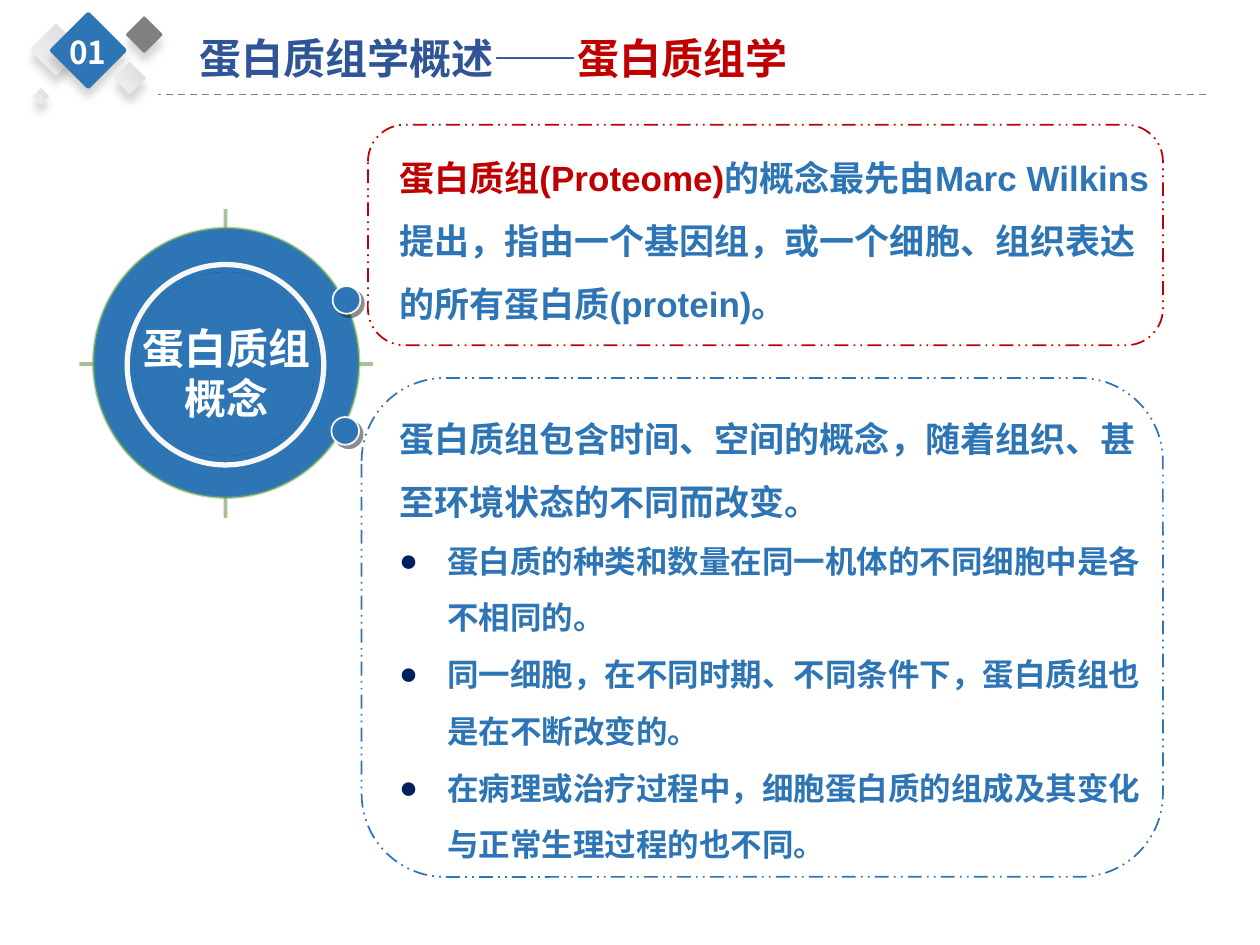
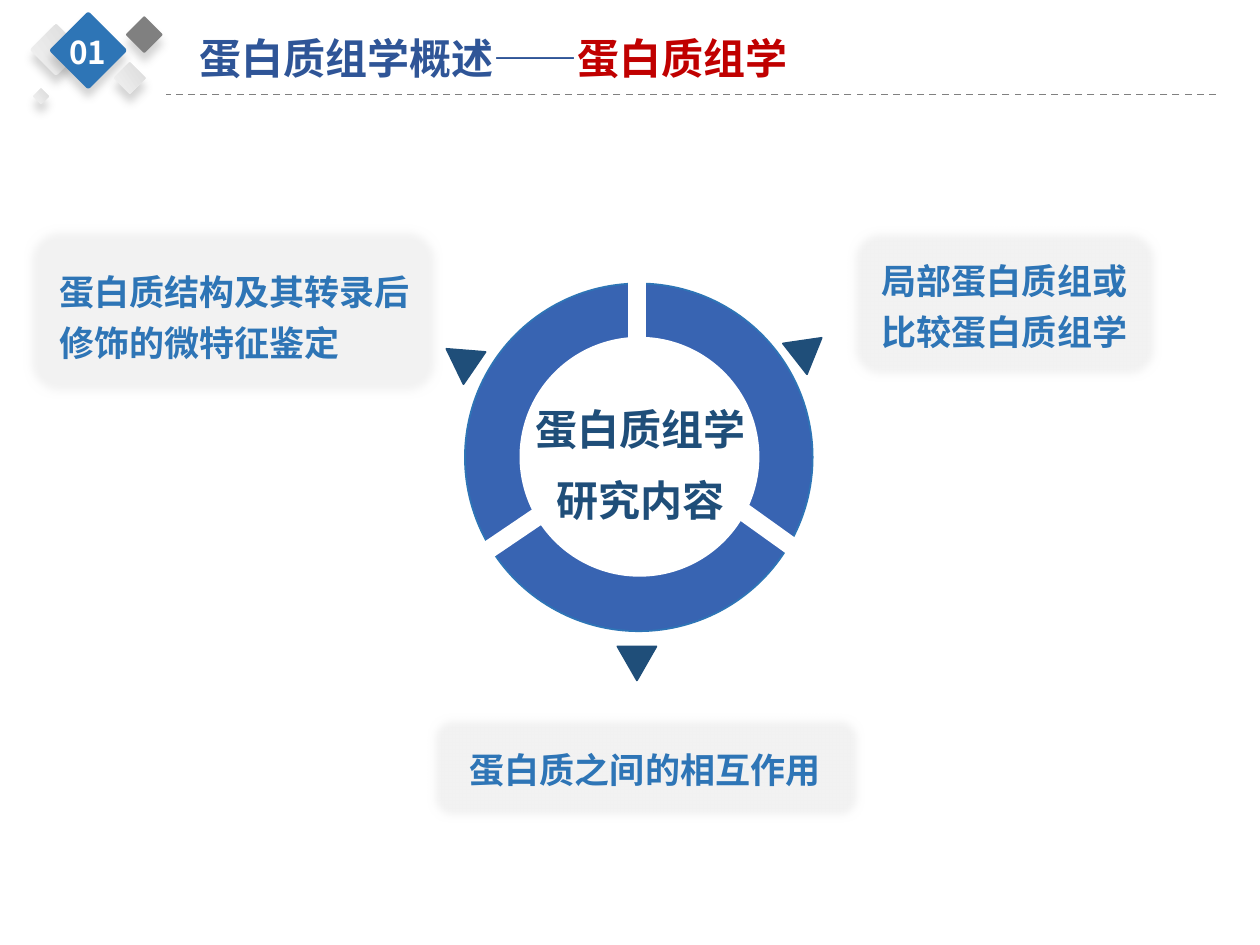
from lxml.etree import SubElement
from pptx import Presentation
from pptx.dml.color import RGBColor
from pptx.enum.dml import MSO_LINE
from pptx.enum.shapes import MSO_CONNECTOR, MSO_SHAPE
from pptx.enum.text import MSO_ANCHOR, MSO_AUTO_SIZE, PP_ALIGN
from pptx.oxml.ns import qn
from pptx.util import Inches, Pt

BLUE = RGBColor(0x2E, 0x75, 0xB6)
TITLE_BLUE = RGBColor(0x2F, 0x55, 0x97)
RING_BLUE = RGBColor(0x38, 0x64, 0xB2)
DARK_BLUE = RGBColor(0x1F, 0x4E, 0x79)
BULLET_NAVY = RGBColor(0x00, 0x20, 0x60)
RED = RGBColor(0xC0, 0x00, 0x00)
GREEN = RGBColor(0x70, 0xAD, 0x47)
DARK_GREEN = RGBColor(0x54, 0x82, 0x35)
WHITE = RGBColor(0xFF, 0xFF, 0xFF)
OFF_WHITE = RGBColor(0xF8, 0xF8, 0xF8)
PALE_GRAY = RGBColor(0xF2, 0xF2, 0xF2)
LIGHT_GRAY = RGBColor(0xDB, 0xDB, 0xDB)
GRAY = RGBColor(0x80, 0x80, 0x80)
CJK_FONT = "Noto Sans CJK SC"

# Shadows: colour, opacity %, blur pt, distance pt, direction in degrees
DIAMOND_SHADOW = ("595959", 25, 5, 5, 90)
DOT_SHADOW = ("1C1C1C", 50, 0, 2.8, 45)
DISC_SHADOW = ("000000", 50, 0, 0, 0)


def half_transparent(shape):
    """Make the outline of a shape or connector half transparent."""
    color = shape._element.spPr.find(qn("a:ln")).find(".//" + qn("a:srgbClr"))
    SubElement(color, qn("a:alpha"), val="50000")


def add_effect(shape, tag, **attributes):
    shape.shadow.inherit = False
    effects = shape._element.spPr.find(qn("a:effectLst"))
    return SubElement(effects, qn(tag), **attributes)


def add_shadow(shape, color, opacity, blur, distance, direction):
    shadow = add_effect(shape, "a:outerShdw", blurRad=str(Pt(blur)), dist=str(Pt(distance)),
                        dir=str(direction * 60000), algn="ctr", rotWithShape="0")
    rgb = SubElement(shadow, qn("a:srgbClr"), val=color)
    SubElement(rgb, qn("a:alpha"), val=str(opacity * 1000))


def add_figure(slide, kind, box, fill=None, line=None, width=1, rotation=0, shadow=None):
    """Add a preset shape; box is left, top, width, height in inches."""
    figure = slide.shapes.add_shape(kind, *map(Inches, box))
    figure.rotation = rotation
    figure.shadow.inherit = False
    if fill is None:
        figure.fill.background()
    else:
        figure.fill.solid()
        figure.fill.fore_color.rgb = fill
    if line is None:
        figure.line.fill.background()
    else:
        figure.line.color.rgb = line
        figure.line.width = Pt(width)
    if shadow:
        add_shadow(figure, *shadow)
    return figure


def add_line(slide, start, end, color, width):
    connector = slide.shapes.add_connector(
        MSO_CONNECTOR.STRAIGHT, *map(Inches, (*start, *end)))
    connector.line.color.rgb = color
    connector.line.width = Pt(width)
    SubElement(connector._element.spPr, qn("a:effectLst"))
    return connector


def format_run(run, size, color, font):
    run.font.size = Pt(size)
    run.font.bold = True
    run.font.color.rgb = color
    run.font.name = font
    SubElement(run._r.get_or_add_rPr(), qn("a:ea"), typeface=CJK_FONT)


def write(frame, paragraphs, size, color=BLUE, font="Arial", align=PP_ALIGN.LEFT, spacing=None):
    """Fill a frame; a paragraph is a string or a list of (text, colour) runs."""
    for number, content in enumerate(paragraphs):
        paragraph = frame.paragraphs[0] if number == 0 else frame.add_paragraph()
        paragraph.alignment = align
        if spacing:
            paragraph.line_spacing = spacing
        if isinstance(content, str):
            content = [(content, color)]
        for text, run_color in content:
            run = paragraph.add_run()
            run.text = text
            format_run(run, size, run_color, font)


def add_text(slide, box, paragraphs, size, wrap=True, **style):
    frame = slide.shapes.add_textbox(*map(Inches, box)).text_frame
    frame.word_wrap = wrap
    write(frame, paragraphs, size, **style)
    return frame


def make_bullet(paragraph):
    properties = paragraph._p.get_or_add_pPr()
    properties.set("marL", str(Inches(0.38)))
    properties.set("indent", str(Inches(-0.38)))
    color = SubElement(properties, qn("a:buClr"))
    SubElement(color, qn("a:srgbClr"), val=str(BULLET_NAVY))
    SubElement(properties, qn("a:buFont"), typeface="Arial")
    SubElement(properties, qn("a:buChar"), char="●")


def add_header(slide, rule_left, rule_right):
    rule = add_line(slide, (rule_right, 0.75), (rule_left, 0.75), GRAY, 1)
    rule.line.dash_style = MSO_LINE.DASH

    diamonds = [(0.3, 0.25, 0.29, None), (0.48, 0.18, 0.44, BLUE), (1.04, 0.17, 0.21, GRAY),
                (0.94, 0.53, 0.18, None), (0.28, 0.72, 0.09, None)]
    for left, top, side, color in diamonds:
        diamond = add_figure(slide, MSO_SHAPE.ROUNDED_RECTANGLE, (left, top, side, side),
                             color, rotation=45, shadow=DIAMOND_SHADOW)
        diamond.adjustments[0] = 0.05
        if color is None:
            diamond.fill.gradient()
            diamond.fill.gradient_angle = 80
            for stop, shade in zip(diamond.fill.gradient_stops, (PALE_GRAY, LIGHT_GRAY)):
                stop.color.rgb = shade
    add_text(slide, (0.44, 0.21, 0.51, 0.4), ["01"], 18, wrap=False,
             color=WHITE, font=CJK_FONT, align=PP_ALIGN.CENTER)

    title = slide.shapes.title
    title.left, title.top, title.width, title.height = map(Inches, (1.48, 0.21, 5.07, 0.5))
    frame = title.text_frame
    frame.auto_size = MSO_AUTO_SIZE.NONE
    frame.vertical_anchor = MSO_ANCHOR.TOP
    write(frame, [[("蛋白质组学概述——", TITLE_BLUE), ("蛋白质组学", RED)]], 24, font=CJK_FONT)


def add_concept_disc(slide):
    for start, end in (((0.63, 2.89), (2.96, 2.89)), ((1.79, 1.66), (1.79, 4.11))):
        half_transparent(add_line(slide, start, end, DARK_GREEN, 2.25))
    rim = add_figure(slide, MSO_SHAPE.OVAL, (0.74, 1.81, 2.11, 2.14), BLUE, GREEN, 1.5)
    half_transparent(rim)
    add_figure(slide, MSO_SHAPE.OVAL, (1.01, 2.1, 1.56, 1.59), BLUE, OFF_WHITE, 3)
    add_figure(slide, MSO_SHAPE.OVAL, (1.07, 2.16, 1.43, 1.46), BLUE, shadow=DISC_SHADOW)
    core = add_figure(slide, MSO_SHAPE.OVAL, (1.34, 2.49, 0.92, 0.94), BLUE)
    core.text_frame.word_wrap = False
    core.text_frame.vertical_anchor = MSO_ANCHOR.MIDDLE
    write(core.text_frame, ["蛋白质组", "概念"], 24, color=WHITE, font="Calibri",
          align=PP_ALIGN.CENTER)
    for left, top in ((2.64, 2.27), (2.63, 3.31)):
        add_figure(slide, MSO_SHAPE.OVAL, (left, top, 0.22, 0.22), BLUE, OFF_WHITE,
                   shadow=DOT_SHADOW)


def add_dashed_frame(slide, box, color):
    outline = add_figure(slide, MSO_SHAPE.ROUNDED_RECTANGLE, box, line=color)
    outline.line.dash_style = MSO_LINE.DASH_DOT_DOT


def build_concept_slide(slide):
    add_header(slide, 1.25, 9.57)
    add_concept_disc(slide)
    add_dashed_frame(slide, (2.92, 0.99, 6.31, 1.75), RED)
    add_dashed_frame(slide, (2.87, 3, 6.36, 3.96), BLUE)
    add_text(slide, (3.07, 1.03, 6.16, 1.56), [[
        ("蛋白质组(Proteome)", RED),
        ("的概念最先由Marc Wilkins提出，指由一个基因组，或一个细胞、"
         "组织表达的所有蛋白质(protein)。", BLUE)]], 20, spacing=1.5)
    features = add_text(slide, (3.07, 3.1, 6.25, 3.78), [
        "蛋白质组包含时间、空间的概念，随着组织、甚至环境状态的不同而改变。",
        "蛋白质的种类和数量在同一机体的不同细胞中是各不相同的。",
        "同一细胞，在不同时期、不同条件下，蛋白质组也是在不断改变的。",
        "在病理或治疗过程中，细胞蛋白质的组成及其变化与正常生理过程的也不同。",
    ], 20, spacing=1.5)
    for paragraph in features.paragraphs[1:]:
        make_bullet(paragraph)
        paragraph.runs[0].font.size = Pt(18)


def add_research_ring(slide):
    add_figure(slide, MSO_SHAPE.OVAL, (3.69, 2.25, 2.76, 2.76), RING_BLUE, BLUE)
    add_figure(slide, MSO_SHAPE.OVAL, (4.13, 2.68, 1.89, 1.89), WHITE, WHITE)
    for left, top, angle in ((4.99, 1.95, 0), (6, 3.72, 305.6), (3.98, 3.79, 55.9)):
        add_figure(slide, MSO_SHAPE.RECTANGLE, (left, top, 0.13, 0.92), WHITE, WHITE,
                   rotation=angle)
    for left, top, angle in ((4.9, 5.13, 180), (3.5, 2.71, 304.4), (6.26, 2.63, 51.9)):
        add_figure(slide, MSO_SHAPE.ISOSCELES_TRIANGLE, (left, top, 0.31, 0.27),
                   DARK_BLUE, DARK_BLUE, rotation=angle)
    heading = add_text(slide, (3.9, 3.15, 2.36, 1.08), ["蛋白质组学", "研究内容"], 24,
                       color=DARK_BLUE, align=PP_ALIGN.CENTER)
    heading.paragraphs[0].space_after = Pt(6)
    heading.paragraphs[1].space_before = Pt(6)


def add_topic(slide, panel_box, text_box, lines):
    panel = add_figure(slide, MSO_SHAPE.ROUNDED_RECTANGLE, panel_box, PALE_GRAY)
    add_effect(panel, "a:softEdge", rad=str(Pt(5)))
    add_text(slide, text_box, lines, 20, spacing=Pt(29))


def build_research_slide(slide):
    add_header(slide, 1.32, 9.65)
    add_research_ring(slide)
    add_topic(slide, (0.19, 1.78, 3.32, 1.38), (0.37, 2.03, 3.08, 0.88),
              ["蛋白质结构及其转录后修饰的微特征鉴定"])
    add_topic(slide, (6.73, 1.8, 2.49, 1.23), (6.9, 1.94, 2.17, 0.88),
              ["局部蛋白质组或", "比较蛋白质组学"])
    add_topic(slide, (3.39, 5.66, 3.47, 0.87), (3.63, 5.82, 3.18, 0.47),
              ["蛋白质之间的相互作用"])


def main():
    presentation = Presentation()
    presentation.slide_width = Inches(10)
    presentation.slide_height = Inches(7.5)
    title_only = presentation.slide_layouts[5]
    for build in (build_concept_slide, build_research_slide):
        build(presentation.slides.add_slide(title_only))
    presentation.save("out.pptx")


if __name__ == "__main__":
    main()
